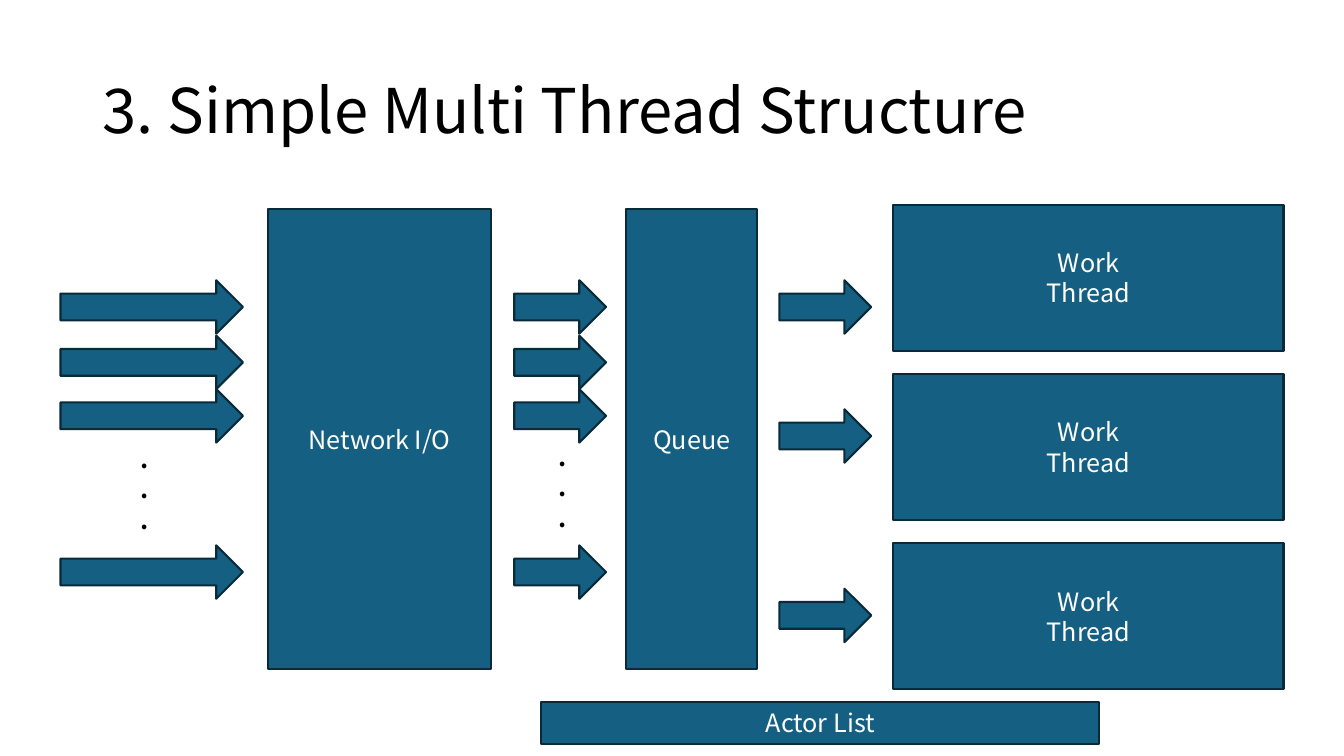
from dataclasses import dataclass
from typing import Any

from pptx import Presentation
from pptx.dml.color import RGBColor
from pptx.enum.shapes import MSO_SHAPE
from pptx.enum.text import MSO_ANCHOR, PP_ALIGN
from pptx.util import Inches, Pt


def rgb(value):
    return RGBColor.from_string(value)


@dataclass
class Diagram:
    slide: Any
    width: int
    height: int
    font: str = "Noto Sans CJK KR"
    fill: str = "156082"
    outline: str = "092A39"
    ink: str = "000000"
    label: str = "FFFFFF"

    def place(self, x, y, w, h):
        col, row = self.width / 100, self.height / 100
        return round(x * col), round(y * row), round(w * col), round(h * row)

    def set_text(self, sp, lines, color, size=18, align=PP_ALIGN.LEFT,
                 anchor=MSO_ANCHOR.TOP, bold=False, spacing=1.0):
        tf = sp.text_frame
        tf.word_wrap = True
        tf.vertical_anchor = anchor
        tf.text = "\n".join(lines)
        for p in tf.paragraphs:
            p.alignment = align
            p.line_spacing = spacing
            p.font.name = self.font
            p.font.size = Pt(size)
            p.font.bold = bold
            p.font.color.rgb = rgb(color)

    def shape(self, kind, *box):
        sp = self.slide.shapes.add_shape(kind, *self.place(*box))
        sp.shadow.inherit = False
        sp.fill.solid()
        sp.fill.fore_color.rgb = rgb(self.fill)
        sp.line.color.rgb = rgb(self.outline)
        sp.line.width = Pt(1.5)
        return sp

    def block(self, lines, *box):
        sp = self.shape(MSO_SHAPE.RECTANGLE, *box)
        self.set_text(sp, lines, self.label, align=PP_ALIGN.CENTER,
                      anchor=MSO_ANCHOR.MIDDLE)

    def arrows(self, x, w, tops):
        for y in tops:
            self.shape(MSO_SHAPE.RIGHT_ARROW, x, y, w, 7.07)

    def text(self, lines, *box, **style):
        sp = self.slide.shapes.add_textbox(*self.place(*box))
        self.set_text(sp, lines, self.ink, **style)


def main():
    prs = Presentation()
    prs.slide_width, prs.slide_height = Inches(13.33), Inches(7.5)
    s = prs.slides.add_slide(prs.slide_layouts[6])
    d = Diagram(s, prs.slide_width, prs.slide_height)

    d.text(["3. Simple Multi Thread Structure"], 6.9, 5.33, 86.27, 19.33,
           size=44, anchor=MSO_ANCHOR.MIDDLE, spacing=0.9)

    d.block(["Network I/O"], 19.95, 27.6, 16.58, 60.93)
    d.block(["Queue"], 46.59, 27.6, 9.75, 60.93)
    for i in range(3):
        d.block(["Work", "Thread"], 66.47, 27.07 + 22.4 * i, 29.03, 19.33)
    d.block(["Actor List"], 40.29, 92.8, 41.49, 5.6)

    requests = (37.07, 44.4, 51.47, 72.13)
    d.arrows(4.5, 13.58, requests)
    d.arrows(38.26, 6.83, requests)
    d.arrows(57.99, 6.83, (37.07, 54.13, 77.87))

    for x, y, w in ((9.75, 58, 3.45), (40.81, 57.73, 1.73)):
        d.text(["."] * 3, x, y, w, 13.47, bold=True)

    prs.save("out.pptx")


if __name__ == "__main__":
    main()
